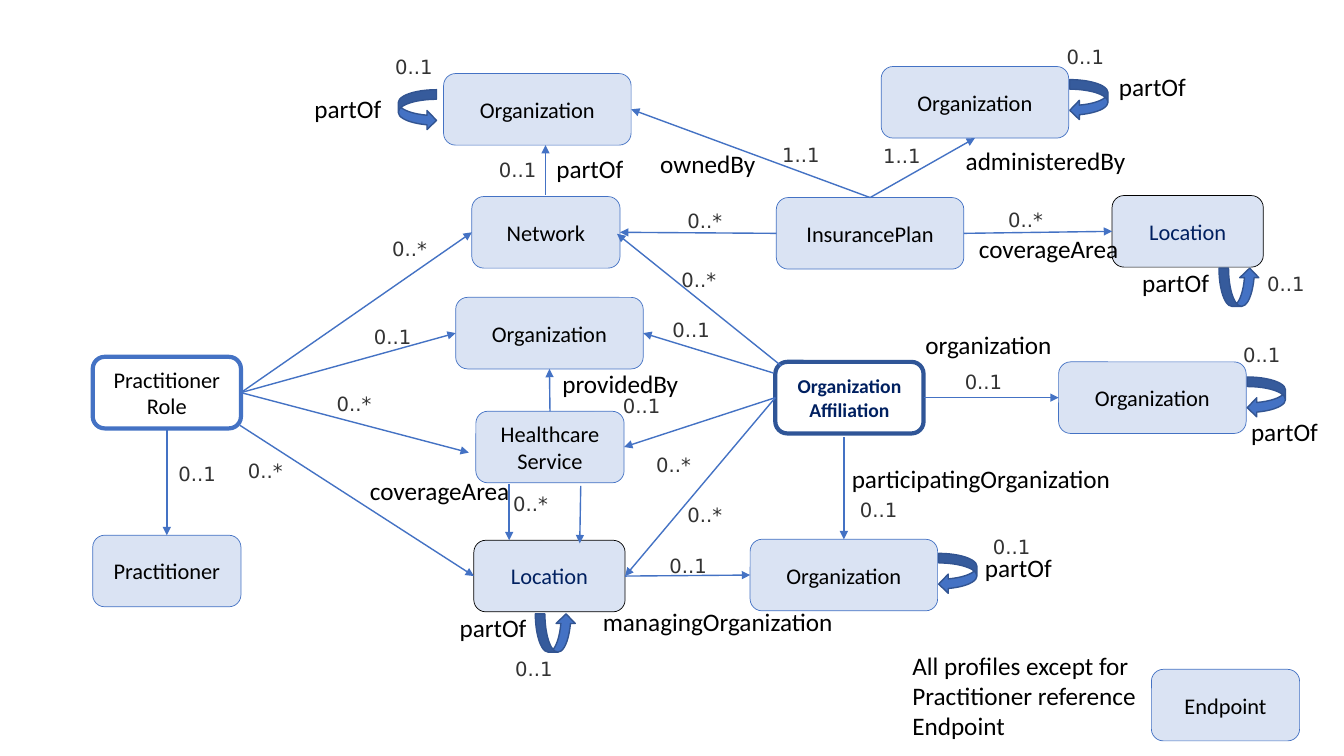
from lxml import etree
from pptx import Presentation
from pptx.dml.color import RGBColor
from pptx.enum.shapes import MSO_CONNECTOR, MSO_SHAPE
from pptx.enum.text import MSO_ANCHOR, MSO_AUTO_SIZE, PP_ALIGN
from pptx.oxml.ns import qn
from pptx.util import Inches, Pt

ROUNDED, LOOP = MSO_SHAPE.ROUNDED_RECTANGLE, MSO_SHAPE.CURVED_LEFT_ARROW
STRAIGHT = MSO_CONNECTOR.STRAIGHT
CENTER, MIDDLE = PP_ALIGN.CENTER, MSO_ANCHOR.MIDDLE
GROW = MSO_AUTO_SIZE.SHAPE_TO_FIT_TEXT
TOP, LEFT, BOTTOM, RIGHT = range(4)

BLUE, PALE, DARK, NAVY = "4472C4", "DAE3F3", "2F5597", "002060"
BLACK, GREY, LOOP_EDGE = "000000", "333333", "325491"
BOX_H = 0.71

# style: width, fill, line colour, line width, font size, font colour, bold
STYLES = {
    "organization": (1.86, PALE, BLUE, 0.5, 16, BLACK, False),
    "resource": (1.47, PALE, BLUE, 0.5, 16, BLACK, False),
    "location": (1.5, PALE, BLACK, 0.5, 16, NAVY, False),
    "role": (1.47, None, BLUE, 3, 16, BLACK, False),
    "affiliation": (1.47, None, DARK, 3, 14, NAVY, True),
}

# key: text, style, left, top
BOXES = {
    "owner": ("Organization", "organization", 4.4, 0.73),
    "administrator": ("Organization", "organization", 8.74, 0.66),
    "network": ("Network", "resource", 4.68, 1.95),
    "plan": ("InsurancePlan", "organization", 7.7, 1.96),
    "plan area": ("Location", "location", 11.03, 1.94),
    "provider": ("Organization", "organization", 4.52, 2.95),
    "role": ("Practitioner\nRole", "role", 0.92, 3.54),
    "affiliation": ("Organization Affiliation", "affiliation", 7.69, 3.59),
    "member": ("Organization", "organization", 10.5, 3.59),
    "service": ("Healthcare Service", "resource", 4.72, 4.08),
    "practitioner": ("Practitioner", "resource", 0.92, 5.31),
    "site": ("Location", "location", 4.7, 5.36),
    "participant": ("Organization", "organization", 7.44, 5.35),
    "endpoint": ("Endpoint", "resource", 11.42, 6.64),
}

# each end is (box, side) or a free (x, y) point
LINKS = [
    (("role", RIGHT), ("network", LEFT)),
    (("role", RIGHT), ("provider", LEFT)),
    (("role", RIGHT), (4.65, 4.49)),
    ((2.38, 4.22), ("site", LEFT)),
    (("role", BOTTOM), ("practitioner", TOP)),
    ((5.41, 1.93), (5.41, 1.44)),
    (("plan", TOP), ("owner", RIGHT)),
    (("plan", TOP), ("administrator", BOTTOM)),
    (("plan", LEFT), ("network", RIGHT)),
    (("plan", RIGHT), ("plan area", LEFT)),
    ((7.75, 3.63), (6.12, 2.32)),
    ((7.67, 3.7), ("provider", RIGHT)),
    (("affiliation", LEFT), ("service", RIGHT)),
    (("affiliation", LEFT), ("site", RIGHT)),
    (("affiliation", RIGHT), ("member", LEFT)),
    ((8.37, 4.34), ("participant", TOP)),
    (("service", TOP), ("provider", BOTTOM)),
    ((5.05, 4.8), (5.05, 5.36)),
    ((5.76, 4.82), (5.75, 5.39)),
    (("site", RIGHT), ("participant", LEFT)),
]

# left, top, rotation, mirrored
LOOPS = [
    (3.95, 0.89, 0, True), (10.61, 0.79, 0, False),
    (12.37, 3.74, 0, False), (9.31, 5.49, 0, False),
    (5.32, 6.08, 270, True), (12.1, 2.65, 270, True),
]

# name: width, then the (left, top) of every place it is used
REFERENCES = {
    "partOf": (0.87, [(3.02, 0.88), (5.42, 1.47), (11, 0.66), (11.23, 2.6),
                      (12.31, 4.08), (9.67, 5.43), (4.46, 6.03)]),
    "coverageArea": (1.62, [(3.57, 4.67), (9.61, 2.27)]),
    "ownedBy": (1.16, [(6.45, 1.42)]),
    "administeredBy": (1.8, [(9.48, 1.39)]),
    "providedBy": (1.36, [(5.48, 3.61)]),
    "organization": (1.47, [(9.08, 3.22)]),
    "participatingOrganization": (2.8, [(8.35, 4.55)]),
    "managingOrganization": (2.51, [(5.88, 5.97)]),
}
CARDINALITIES = {
    "0..1": [(3.82, 0.5), (10.48, 0.4), (4.85, 1.52), (12.47, 2.65),
             (6.57, 3.11), (3.61, 3.17), (12.23, 3.35), (9.47, 3.62),
             (6.08, 3.86), (1.67, 4.53), (8.43, 4.89), (9.75, 5.26),
             (6.54, 5.45), (5.01, 6.47)],
    "0..*": [(9.9, 2.01), (6.72, 2.02), (3.79, 2.3), (6.66, 2.61),
             (3.24, 3.84), (6.41, 4.44), (2.36, 4.5), (4.99, 4.83),
             (6.72, 4.94)],
    "1..1": [(7.66, 1.37), (8.66, 1.38)],
}
NOTE = "All profiles except for\nPractitioner reference\nEndpoint"


def rgb(value):
    return RGBColor.from_string(value)


def write(tf, text, size, color, font="Calibri", bold=False, align=None):
    tf.text = text
    for p in tf.paragraphs:
        p.alignment = align
        for r in p.runs:
            r.font.name, r.font.size, r.font.bold = font, Pt(size), bold
            r.font.color.rgb = rgb(color)


def add_preset(preset, left, top, width, height, fill, line, weight):
    sp = shapes.add_shape(preset, Inches(left), Inches(top), Inches(width), Inches(height))
    sp.shadow.inherit = False
    if fill:
        sp.fill.solid()
        sp.fill.fore_color.rgb = rgb(fill)
    else:
        sp.fill.background()
    sp.line.color.rgb = rgb(line)
    sp.line.width = Pt(weight)
    return sp


def add_box(text, style, left, top):
    width, fill, line, weight, size, color, bold = STYLES[style]
    sp = add_preset(ROUNDED, left, top, width, BOX_H, fill, line, weight)
    sp.text_frame.word_wrap = True
    sp.text_frame.vertical_anchor = MIDDLE
    write(sp.text_frame, text, size, color, bold=bold, align=CENTER)
    return sp


def add_link(start, end):
    """Draw an arrow, joining each end that names a box side."""
    points = [(0, 0) if isinstance(e[0], str) else e for e in (start, end)]
    link = shapes.add_connector(STRAIGHT, *[Inches(v) for point in points for v in point])
    for target, connect in ((start, link.begin_connect), (end, link.end_connect)):
        if isinstance(target[0], str):
            connect(boxes[target[0]], target[1])
    link.line.color.rgb = rgb(BLUE)
    link.line.width = Pt(1)
    etree.SubElement(link.line._get_or_add_ln(), qn("a:tailEnd"), type="triangle")
    etree.SubElement(link._element.spPr, qn("a:effectLst"))


def add_label(text, left, top, width, height, size, color, font="Calibri", wrap=True):
    sp = shapes.add_textbox(Inches(left), Inches(top), Inches(width), Inches(height))
    tf = sp.text_frame
    tf.word_wrap = wrap
    tf.auto_size = GROW
    write(tf, text, size, color, font)


prs = Presentation()
prs.slide_width, prs.slide_height = Inches(13.33), Inches(7.5)
shapes = prs.slides.add_slide(prs.slide_layouts[6]).shapes

boxes = {key: add_box(*box) for key, box in BOXES.items()}
for start, end in LINKS:
    add_link(start, end)
for left, top, rotation, mirrored in LOOPS:
    loop = add_preset(LOOP, left, top, 0.38, 0.4, BLUE, LOOP_EDGE, 1)
    loop.rotation = rotation
    if mirrored:
        loop._element.spPr.xfrm.set("flipH", "1")
for name, (width, places) in REFERENCES.items():
    for left, top in places:
        add_label(name, left, top, width, 0.4, 18, BLACK, wrap=False)
for text, places in CARDINALITIES.items():
    for left, top in places:
        add_label(text, left, top, 0.72, 0.34, 14, GREY, "DejaVu Sans")
add_label(NOTE, 8.95, 6.4, 3.9, 1.01, 18, BLACK)

prs.save("out.pptx")
